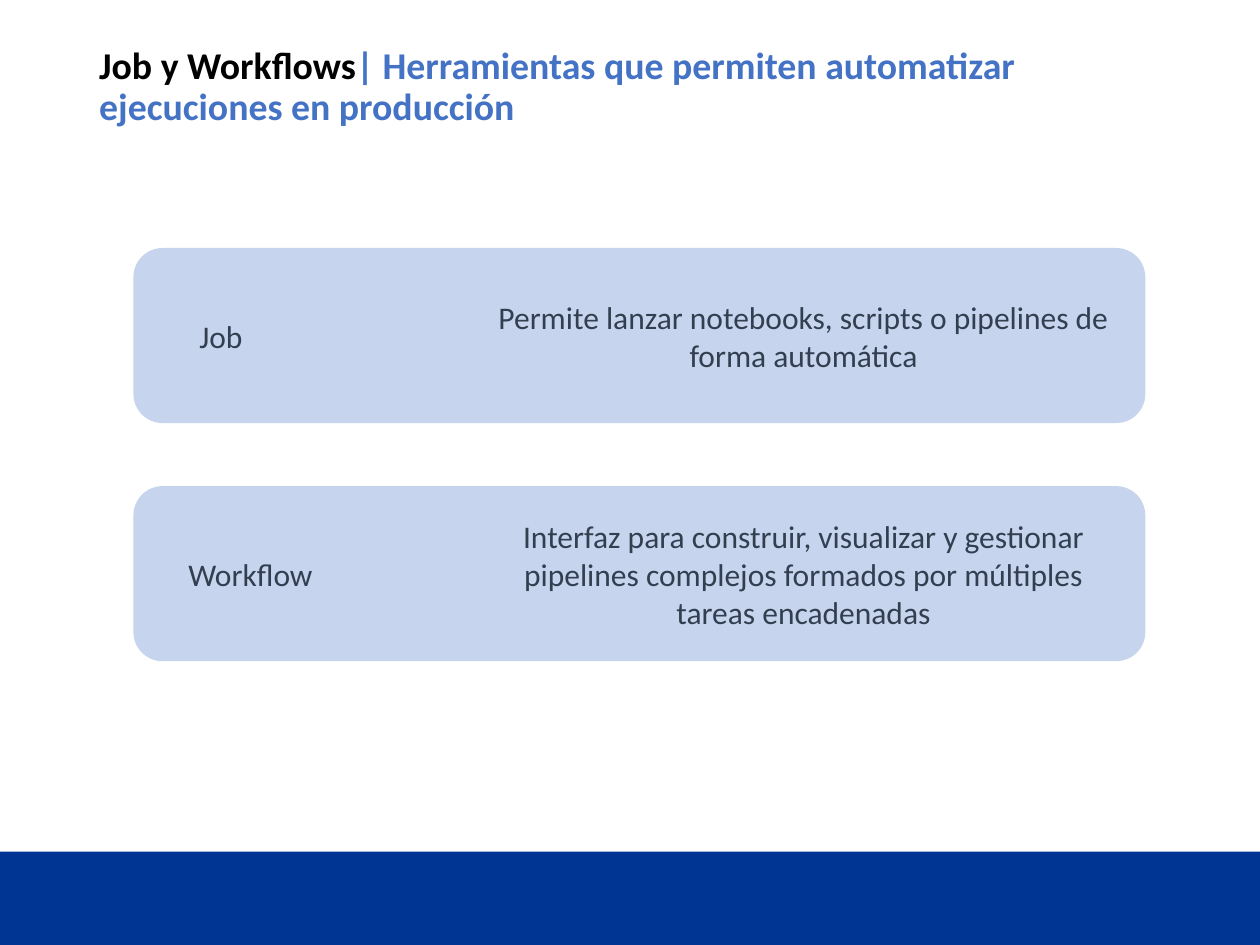
import pptx
import pptx.dml.color
import pptx.enum.shapes
import pptx.enum.text
import pptx.oxml
import pptx.oxml.ns
import pptx.util
from pptx.dml.color import RGBColor
from pptx.enum.shapes import MSO_SHAPE
from pptx.enum.text import MSO_ANCHOR, PP_ALIGN
from pptx.util import Cm

NAVY = RGBColor(0x00, 0x35, 0x94)
BLUE = RGBColor(0x44, 0x72, 0xC4)
SLATE = RGBColor(0x33, 0x3F, 0x50)
BLACK = RGBColor(0x00, 0x00, 0x00)

SLIDE_WIDTH, SLIDE_HEIGHT = 25.4, 19.05
FOOTER_TOP = 17.17
CARD_LEFT, CARD_WIDTH, CARD_HEIGHT = 2.69, 20.4, 3.53
FIRST_CARD_TOP, CARD_PITCH = 5, 4.8
LABEL_LEFT, LABEL_HEIGHT = 3.45, 1.02
DESCRIPTION_LEFT, DESCRIPTION_WIDTH = 9.7, 13

CARDS = [
    ("Job", 2.01, "Permite lanzar notebooks, scripts o pipelines de forma automática", 1.8),
    ("Workflow", 3.2, "Interfaz para construir, visualizar y gestionar pipelines complejos "
     "formados por múltiples tareas encadenadas", 2.57),
]


class SlideBuilder:
    font_name = "Calibri"

    def __init__(self, slide):
        self.slide = slide

    def panel(self, kind, left, top, width, height, color, opacity=100):
        panel = self.slide.shapes.add_shape(kind, Cm(left), Cm(top), Cm(width), Cm(height))
        panel.shadow.inherit = False
        panel.line.fill.background()
        panel.fill.solid()
        panel.fill.fore_color.rgb = color
        if opacity < 100:
            fill_color = panel.fill._xPr.find(".//" + pptx.oxml.ns.qn("a:srgbClr"))
            alpha = pptx.oxml.parse_xml(
                f'<a:alpha {pptx.oxml.ns.nsdecls("a")} val="{opacity * 1000}"/>')
            fill_color.append(alpha)

    def text(self, left, top, width, height, runs, size, bold=False,
             align=PP_ALIGN.CENTER, line_spacing=None):
        box = self.slide.shapes.add_textbox(Cm(left), Cm(top), Cm(width), Cm(height))
        frame = box.text_frame
        frame.word_wrap = True
        frame.vertical_anchor = MSO_ANCHOR.MIDDLE
        paragraph = frame.paragraphs[0]
        paragraph.alignment = align
        paragraph.line_spacing = line_spacing
        for words, color in runs:
            run = paragraph.add_run()
            run.text = words
            run.font.name = self.font_name
            run.font.size = pptx.util.Pt(size)
            run.font.bold = bold
            run.font.color.rgb = color

    def card(self, top, label, label_width, description, description_height):
        self.panel(MSO_SHAPE.ROUNDED_RECTANGLE, CARD_LEFT, top, CARD_WIDTH, CARD_HEIGHT,
                   BLUE, opacity=30)
        middle = top + CARD_HEIGHT / 2
        self.text(LABEL_LEFT, middle - LABEL_HEIGHT / 2, label_width, LABEL_HEIGHT,
                  [(label, SLATE)], 18)
        self.text(DESCRIPTION_LEFT, middle - description_height / 2, DESCRIPTION_WIDTH,
                  description_height, [(description, SLATE)], 18)


def main():
    deck = pptx.Presentation()
    deck.slide_width, deck.slide_height = Cm(SLIDE_WIDTH), Cm(SLIDE_HEIGHT)
    builder = SlideBuilder(deck.slides.add_slide(deck.slide_layouts[6]))

    builder.panel(MSO_SHAPE.RECTANGLE, 0, FOOTER_TOP, SLIDE_WIDTH,
                  SLIDE_HEIGHT - FOOTER_TOP, NAVY)
    builder.text(1.75, 1.02, 21.89, 1.5, [
        ("Job y Workflows", BLACK),
        ("| Herramientas que permiten automatizar ejecuciones en producción", BLUE),
    ], 21.6, bold=True, align=PP_ALIGN.LEFT, line_spacing=0.9)
    for index, content in enumerate(CARDS):
        builder.card(FIRST_CARD_TOP + index * CARD_PITCH, *content)

    deck.save("out.pptx")


if __name__ == "__main__":
    main()
